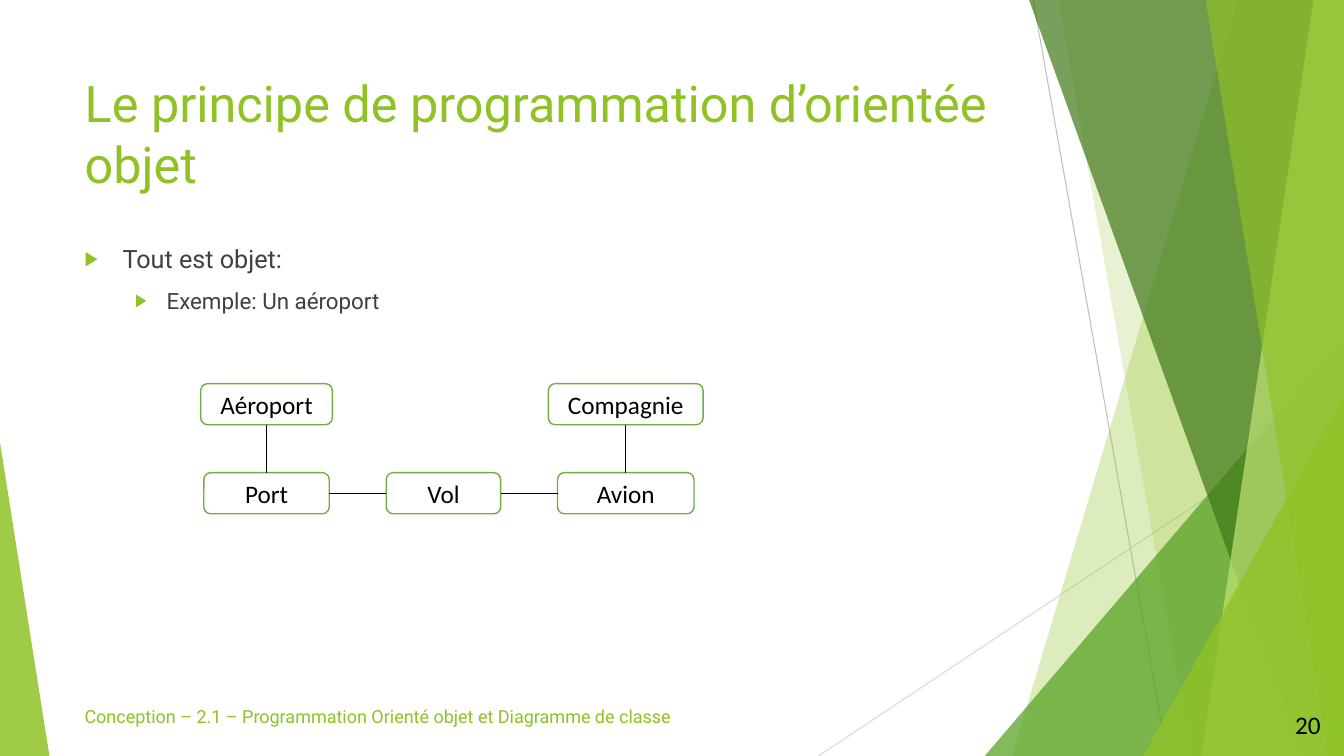
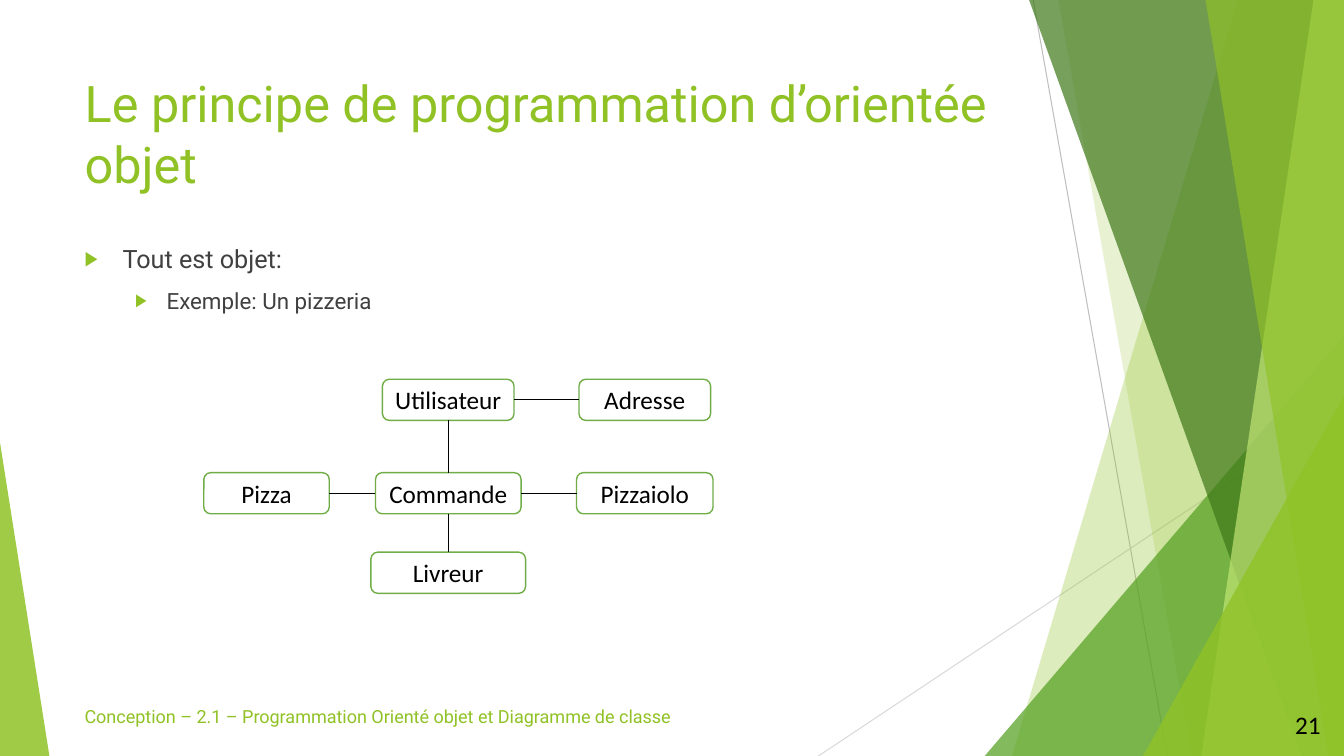
from lxml import etree
from pptx import Presentation
from pptx.dml.color import RGBColor
from pptx.enum import shapes, text
from pptx.oxml import ns
from pptx.util import Pt

COLORS = {
    "lime": "90C226", "green": "54A021", "forest": "3F7819", "pale": "C0E474",
    "silver": "BFBFBF", "mist": "D9D9D9", "outline": "70AD47",
    "body": "404040", "black": "000000", "white": "FFFFFF",
}
HEADING, LABEL = "Roboto", "Calibri"
WIDTH, HEIGHT = 960, 540

TITLE = "Le principe de programmation d’orientée objet"
FOOTER = "Conception – 2.1 – Programmation Orienté objet et Diagramme de classe"
TITLE_AREA = (53.3, 48.2, 676.8, 103.7)
BODY_AREA = (53.3, 170, 676.8, 305)
FOOTER_AREA = (53.3, 503.3, 471.6, 28.8)
NUMBER_AREA = (896.4, 503.3, 54, 28.8)

# Slanted edge (start, end), side of the slide it fills towards, colour, opacity in %
BANDS = [
    ((884.2, 0), (722.9, HEIGHT), WIDTH, "lime", 30),
    ((756, 0), (851, HEIGHT), WIDTH, "lime", 20),
    ((WIDTH, 239.8), (703.4, HEIGHT), WIDTH, "green", 72),
    ((735.1, 0), (929.5, HEIGHT), WIDTH, "forest", 70),
    ((938.2, 0), (858.2, HEIGHT), WIDTH, "pale", 70),
    ((861.1, 0), (949, HEIGHT), WIDTH, "lime", 65),
    ((WIDTH, 283), (816.5, HEIGHT), WIDTH, "lime", 80),
    ((0, 316.1), (35.3, HEIGHT), 0, "lime", 85),
]
HAIRLINES = [
    ((738, 0), (833.8, HEIGHT), "silver"),
    ((WIDTH, 290.2), (584.6, HEIGHT), "mist"),
]

# Text, font size, left margin, hanging indent
BULLET_LEVELS = [(18, 27, 27), (16, 58.5, 22.5)]
BOX_HEIGHT = 29.4

# nodes: name -> (column, row, width); columns are centres, rows are tops
SLIDES = [
    {
        "number": "20",
        "bullets": ["Tout est objet:", "Exemple: Un aéroport"],
        "columns": [190.4, 316.8, 447],
        "rows": [274, 337.6],
        "nodes": {
            "Port": (0, 1, 89.6), "Aéroport": (0, 0, 94), "Vol": (1, 1, 81.7),
            "Avion": (2, 1, 97.5), "Compagnie": (2, 0, 110.5),
        },
        "links": [("Aéroport", "Port"), ("Port", "Vol"), ("Vol", "Avion"),
                  ("Compagnie", "Avion")],
    },
    {
        "number": "21",
        "bullets": ["Tout est objet:", "Exemple: Un pizzeria"],
        "columns": [190.4, 320.2, 460.6],
        "rows": [270.9, 337.6, 394.4],
        "nodes": {
            "Pizza": (0, 1, 89.6), "Utilisateur": (1, 0, 94),
            "Commande": (1, 1, 104), "Pizzaiolo": (2, 1, 97.5),
            "Livreur": (1, 2, 110.5), "Adresse": (2, 0, 94),
        },
        "links": [("Pizza", "Commande"), ("Commande", "Pizzaiolo"),
                  ("Commande", "Livreur"), ("Utilisateur", "Commande"),
                  ("Utilisateur", "Adresse")],
    },
]


def rgb(name):
    return RGBColor.from_string(COLORS[name])


def points(values):
    return [Pt(value) for value in values]


def add_child(parent, tag, **attributes):
    return etree.SubElement(parent, ns.qn(tag), attributes)


def write(para, words, font=HEADING, size=18, color="lime",
          align=text.PP_ALIGN.LEFT, spacing=None, before=0):
    para.alignment = align
    para.space_before = Pt(before)
    para.line_spacing = spacing
    span = para.add_run()
    span.text = words
    span.font.name = font
    span.font.size = Pt(size)
    span.font.color.rgb = rgb(color)


def set_bullet(para, margin, hanging):
    props = para._p.get_or_add_pPr()
    props.set("marL", str(Pt(margin)))
    props.set("indent", str(-Pt(hanging)))
    add_child(add_child(props, "a:buClr"), "a:srgbClr", val=COLORS["lime"])
    add_child(props, "a:buSzPct", val="80000")
    add_child(props, "a:buFont", typeface="Arial")
    add_child(props, "a:buChar", char="▶")


def add_text(page, words, area, anchor=text.MSO_ANCHOR.TOP, **style):
    box = page.shapes.add_textbox(*points(area))
    frame = box.text_frame
    frame.word_wrap = True
    frame.vertical_anchor = anchor
    write(frame.paragraphs[0], words, **style)
    return box


def add_line(page, start, end, color, weight):
    line = page.shapes.add_connector(
        shapes.MSO_CONNECTOR.STRAIGHT, *points(start + end))
    line.line.color.rgb = rgb(color)
    line.line.width = Pt(weight)
    add_child(line.element.spPr, "a:effectLst")
    return line


def add_band(page, start, end, side, color, opacity):
    builder = page.shapes.build_freeform(*points(start), scale=1.0)
    corners = [(side, start[1]), (side, HEIGHT), end]
    builder.add_line_segments([points(corner) for corner in corners], close=True)
    band = builder.convert_to_shape()
    band.shadow.inherit = False
    band.fill.solid()
    band.fill.fore_color.rgb = rgb(color)
    band.line.fill.background()
    fill = band.element.spPr.find(ns.qn("a:solidFill"))
    add_child(fill[0], "a:alpha", val=str(opacity * 1000))
    return band


def decorate_layout(layout, page):
    """Set the shared areas, then draw the decor on page and move it to layout."""
    for holder in layout.placeholders:
        area = {0: TITLE_AREA, 1: BODY_AREA}.get(holder.placeholder_format.idx)
        if area:
            holder.left, holder.top, holder.width, holder.height = points(area)
    decor = [add_line(page, *hairline, 0.75) for hairline in HAIRLINES]
    decor += [add_band(page, *band) for band in BANDS]
    decor.append(add_text(page, FOOTER, FOOTER_AREA, size=12.9, spacing=0.8))
    for shape in decor:
        layout.shapes.element.append(shape.element)


def fill_placeholders(page, bullets):
    title, body = page.shapes.title.text_frame, page.placeholders[1].text_frame
    for frame in (title, body):
        frame.vertical_anchor = text.MSO_ANCHOR.TOP
        frame.auto_size = text.MSO_AUTO_SIZE.NONE
    write(title.paragraphs[0], TITLE, size=36)
    for level, (words, (size, margin, hanging)) in enumerate(
            zip(bullets, BULLET_LEVELS)):
        para = body.add_paragraph() if level else body.paragraphs[0]
        para.level = level
        write(para, words, size=size, color="body", before=10)
        set_bullet(para, margin, hanging)


def add_node(page, name, center, top, width):
    box = page.shapes.add_shape(
        shapes.MSO_SHAPE.ROUNDED_RECTANGLE,
        *points((center - width / 2, top, width, BOX_HEIGHT)))
    box.shadow.inherit = False
    box.fill.solid()
    box.fill.fore_color.rgb = rgb("white")
    box.line.color.rgb = rgb("outline")
    box.line.width = Pt(1)
    frame = box.text_frame
    frame.word_wrap = False
    frame.vertical_anchor = text.MSO_ANCHOR.MIDDLE
    write(frame.paragraphs[0], name, font=LABEL, color="black",
          align=text.PP_ALIGN.CENTER)
    return box


def draw_diagram(page, columns, rows, nodes, links):
    boxes = {name: add_node(page, name, columns[column], rows[row], width)
             for name, (column, row, width) in nodes.items()}
    top, left, bottom, right = range(4)
    for first, second in links:
        same_column = nodes[first][0] == nodes[second][0]
        exit_site, entry_site = (bottom, top) if same_column else (right, left)
        line = add_line(page, (0, 0), (0, 0), "black", 0.5)
        line.begin_connect(boxes[first], exit_site)
        line.end_connect(boxes[second], entry_site)


def main():
    deck = Presentation()
    deck.slide_width, deck.slide_height = Pt(WIDTH), Pt(HEIGHT)
    layout = deck.slide_layouts[1]
    for index, content in enumerate(SLIDES):
        page = deck.slides.add_slide(layout)
        if index == 0:
            decorate_layout(layout, page)
        fill_placeholders(page, content["bullets"])
        add_text(page, content["number"], NUMBER_AREA, font=LABEL, color="black",
                 anchor=text.MSO_ANCHOR.MIDDLE, align=text.PP_ALIGN.RIGHT)
        draw_diagram(page, content["columns"], content["rows"],
                     content["nodes"], content["links"])
    deck.save("out.pptx")


if __name__ == "__main__":
    main()
